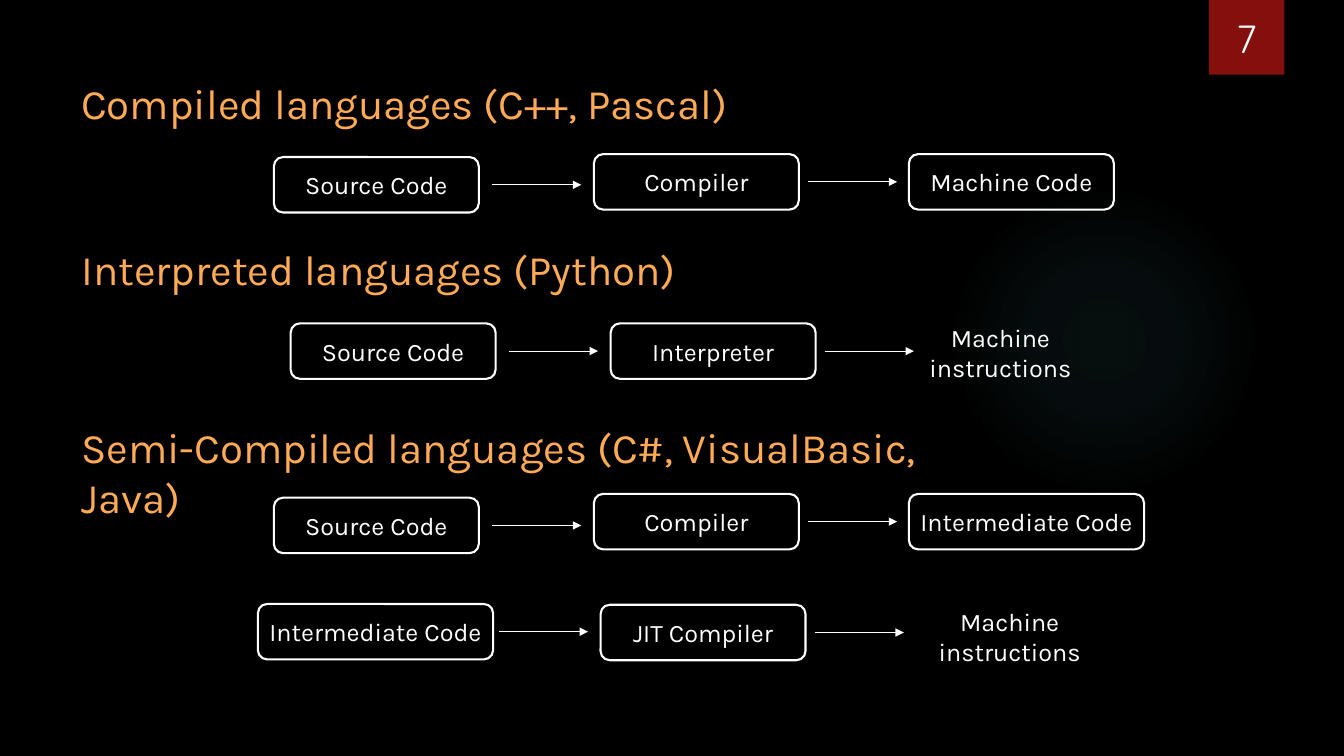
from lxml import etree
from pptx import Presentation
from pptx import util as u
from pptx.dml.color import RGBColor
from pptx.enum import shapes, text
from pptx.oxml import ns

BLACK = RGBColor(0, 0, 0)
WHITE = RGBColor(255, 255, 255)
AMBER = RGBColor(0xFF, 0xAA, 0x55)
RED = RGBColor(0x84, 0x10, 0x0E)
KIND = shapes.MSO_SHAPE

deck = Presentation()
deck.slide_width, deck.slide_height = u.Inches(13.33), u.Inches(7.5)
COL, ROW = deck.slide_width / 160, deck.slide_height / 90
slide = deck.slides.add_slide(deck.slide_layouts[6])
slide.background.fill.solid()
slide.background.fill.fore_color.rgb = BLACK


def place(kind, left, top, wide, high):
    area = [round(n) for n in (left * COL, top * ROW, wide * COL, high * ROW)]
    if kind is None:
        return slide.shapes.add_textbox(*area)
    shape = slide.shapes.add_shape(kind, *area)
    shape.shadow.inherit = False
    shape.fill.background()
    shape.line.fill.background()
    return shape


def write(shape, words, size, face, color, align, anchor):
    frame = shape.text_frame
    frame.word_wrap = True
    frame.vertical_anchor = anchor
    para = frame.paragraphs[0]
    para.text = words
    para.alignment = align
    para.font.size = u.Pt(size)
    para.font.name = face
    para.font.color.rgb = color


MID = (text.PP_ALIGN.CENTER, text.MSO_ANCHOR.MIDDLE)
TOP = (text.PP_ALIGN.LEFT, text.MSO_ANCHOR.TOP)

glow = place(KIND.OVAL, 112.95, 21.95, 37, 37)
stops = "".join(
    f'<a:gs pos="{pos}000"><a:srgbClr val="50B9C1"><a:alpha val="{alpha}000"/></a:srgbClr></a:gs>'
    for pos, alpha in ((0, 7), (36, 6), (69, 0)))
grad = etree.fromstring(
    f'<a:gradFill {ns.nsdecls("a")}><a:gsLst>{stops}</a:gsLst><a:path path="circle">'
    '<a:fillToRect l="50000" t="50000" r="50000" b="50000"/></a:path></a:gradFill>')
props = glow._element.spPr
props.replace(props.find(ns.qn("a:noFill")), grad)

badge = place(KIND.RECTANGLE, 143.9, 0, 9, 8.9)
badge.fill.solid()
badge.fill.fore_color.rgb = RED
write(badge, "7", 28, "Quicksand", WHITE, *MID)

heads = (
    ("Compiled languages (C++, Pascal)", 8.64, 88.5),
    ("Interpreted languages (Python)", 28.44, 88.5),
    ("Semi-Compiled languages (C#, VisualBasic, Java)", 49.56, 110),
)
for words, top, wide in heads:
    write(place(None, 8.5, top, wide, 7.3), words, 30, "Karla", AMBER, *TOP)

HIGH, REACH = 6.6, 10.6
flows = (
    (("Source Code", 32.6, 22), ("Compiler", 70.7, 21.65), ("Machine Code", 108.2, 21.65)),
    (("Source Code", 34.6, 41.8), ("Interpreter", 72.7, 41.8), ("Machine instructions", 106.7, 41.95)),
    (("Source Code", 32.6, 62.55), ("Compiler", 70.7, 62.1), ("Intermediate Code", 108.2, 62.1)),
    (("Intermediate Code", 30.7, 75.2), ("JIT Compiler", 71.5, 75.3), ("Machine instructions", 107.8, 75.8)),
)
for flow in flows:
    for step, (words, left, mid) in enumerate(flow):
        long = words == "Intermediate Code"
        wide = 28 if long else 24.4
        if words == "Machine instructions":
            box = place(None, left, mid - 4.25, 24.8, 8.5)
        else:
            box = place(KIND.ROUNDED_RECTANGLE, left, mid - HIGH / 2, wide, HIGH)
            box.line.color.rgb = WHITE
            box.line.width = u.Pt(1.5)
            box.text_frame.margin_left = box.text_frame.margin_right = 0
        write(box, words, 18, "Karla", WHITE, *MID)
        if step == 2:
            continue
        gap = 1.1 if step else 0.7 if long else 1.6
        start = left + wide + gap
        arrow = slide.shapes.add_connector(
            shapes.MSO_CONNECTOR.STRAIGHT, round(start * COL), round(mid * ROW),
            round((start + REACH) * COL), round(mid * ROW))
        arrow.line.color.rgb = WHITE
        arrow.line.width = u.Pt(0.75)
        etree.SubElement(arrow.line._get_or_add_ln(), ns.qn("a:tailEnd"), type="triangle")
        etree.SubElement(arrow._element.spPr, ns.qn("a:effectLst"))

deck.save("out.pptx")
